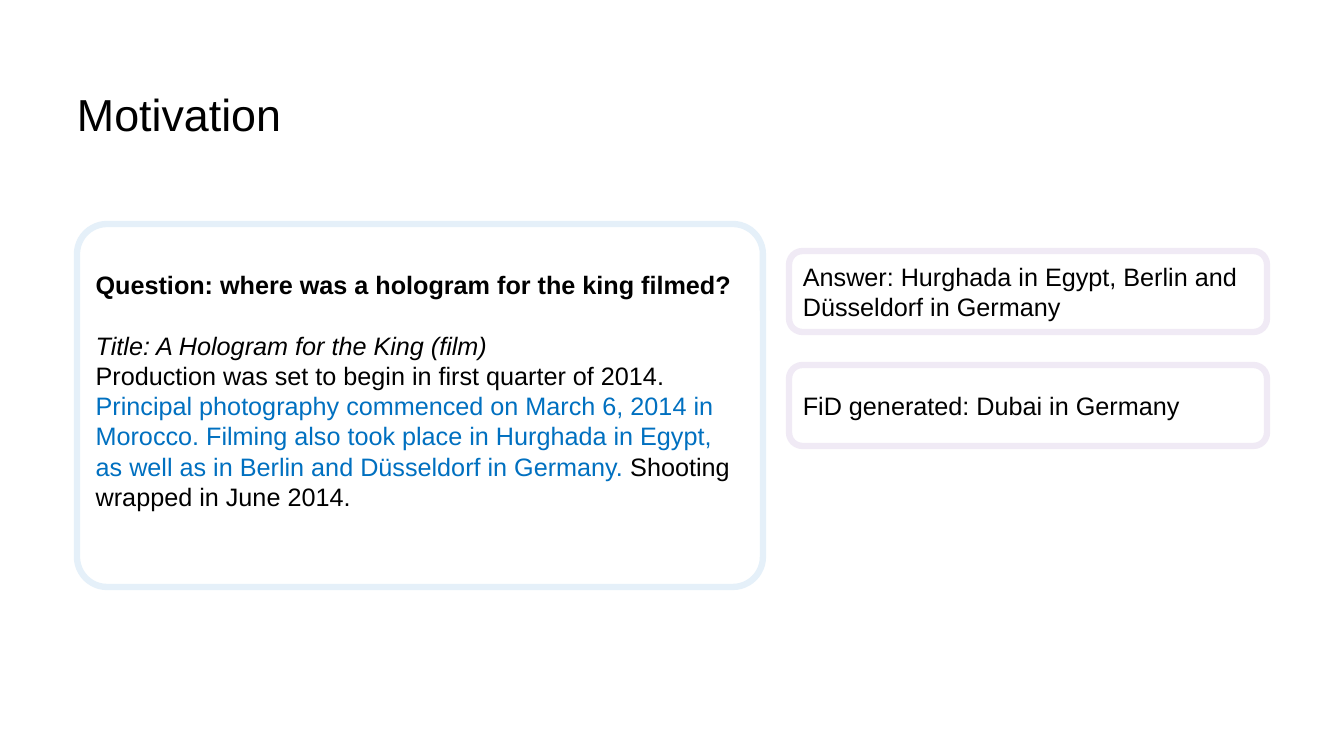
from pptx import Presentation
from pptx.dml.color import RGBColor
from pptx.enum.shapes import MSO_SHAPE
from pptx.enum.text import MSO_ANCHOR, PP_ALIGN
from pptx.util import Emu, Pt

FONT = "Arial"
BLACK, BLUE = "000000", "0070C0"
PALE_BLUE, PALE_PURPLE = "E5F0F9", "F0EAF5"
LINE_HEIGHT = 30


def px(length):
    """Turn pixels into EMU."""
    return Emu(round(length * 914400 / 100.8))


def color(value):
    """Turn a hex string into a colour."""
    return RGBColor.from_string(value)


def style(para, size, bold=None, italic=None):
    """Set the font and left alignment of a paragraph."""
    para.alignment = PP_ALIGN.LEFT
    para.font.name = FONT
    para.font.size = Pt(size)
    para.font.bold = bold
    para.font.italic = italic
    para.font.color.rgb = color(BLACK)


def add_title(page, text, left, top, width, height):
    """Add the heading as a text box without margins."""
    frame = page.shapes.add_textbox(px(left), px(top), px(width), px(height)).text_frame
    frame.word_wrap = True
    frame.margin_left = frame.margin_top = frame.margin_right = frame.margin_bottom = 0
    para = frame.paragraphs[0]
    para.text = text
    para.line_spacing = 1.5
    style(para, 32)


def add_card(page, border, left, top, width, height, radius=0.1667):
    """Add an outlined rounded card and return its text frame."""
    box = page.shapes.add_shape(
        MSO_SHAPE.ROUNDED_RECTANGLE, px(left), px(top), px(width), px(height))
    box.adjustments[0] = radius
    box.shadow.inherit = False
    box.fill.background()
    box.line.color.rgb = color(border)
    box.line.width = Pt(4.5)
    frame = box.text_frame
    frame.word_wrap = True
    frame.vertical_anchor = MSO_ANCHOR.MIDDLE
    return frame


def add_passage(page):
    """Add the question with its source passage."""
    frame = add_card(page, PALE_BLUE, 77, 224, 686, 363, 0.083)
    frame.margin_bottom = px(5 + LINE_HEIGHT)
    question = frame.paragraphs[0]
    question.text = "Question: where was a hologram for the king filmed?"
    question.space_after = px(LINE_HEIGHT)
    style(question, 18, bold=True)
    title = frame.add_paragraph()
    title.text = "Title: A Hologram for the King (film)"
    style(title, 18, italic=True)
    passage = frame.add_paragraph()
    style(passage, 18)
    for text, ink in (
        ("Production was set to begin in first quarter of 2014. ", BLACK),
        ("Principal photography commenced on March 6, 2014 in Morocco. "
         "Filming also took place in Hurghada in Egypt, as well as in "
         "Berlin and Düsseldorf in Germany. ", BLUE),
        ("Shooting wrapped in June 2014.", BLACK),
    ):
        span = passage.add_run()
        span.text = text
        span.font.color.rgb = color(ink)


def main():
    """Build and save the slide."""
    deck = Presentation()
    deck.slide_width, deck.slide_height = px(1344), px(756)
    page = deck.slides.add_slide(deck.slide_layouts[6])
    add_title(page, "Motivation", 77, 60, 1183, 110)
    add_passage(page)
    answers = (
        "Answer: Hurghada in Egypt, Berlin and Düsseldorf in Germany",
        "FiD generated: Dubai in Germany",
    )
    for row, answer in enumerate(answers):
        para = add_card(page, PALE_PURPLE, 789, 251 + 114 * row, 478, 81).paragraphs[0]
        para.text = answer
        style(para, 18)
    deck.save("out.pptx")


if __name__ == "__main__":
    main()
